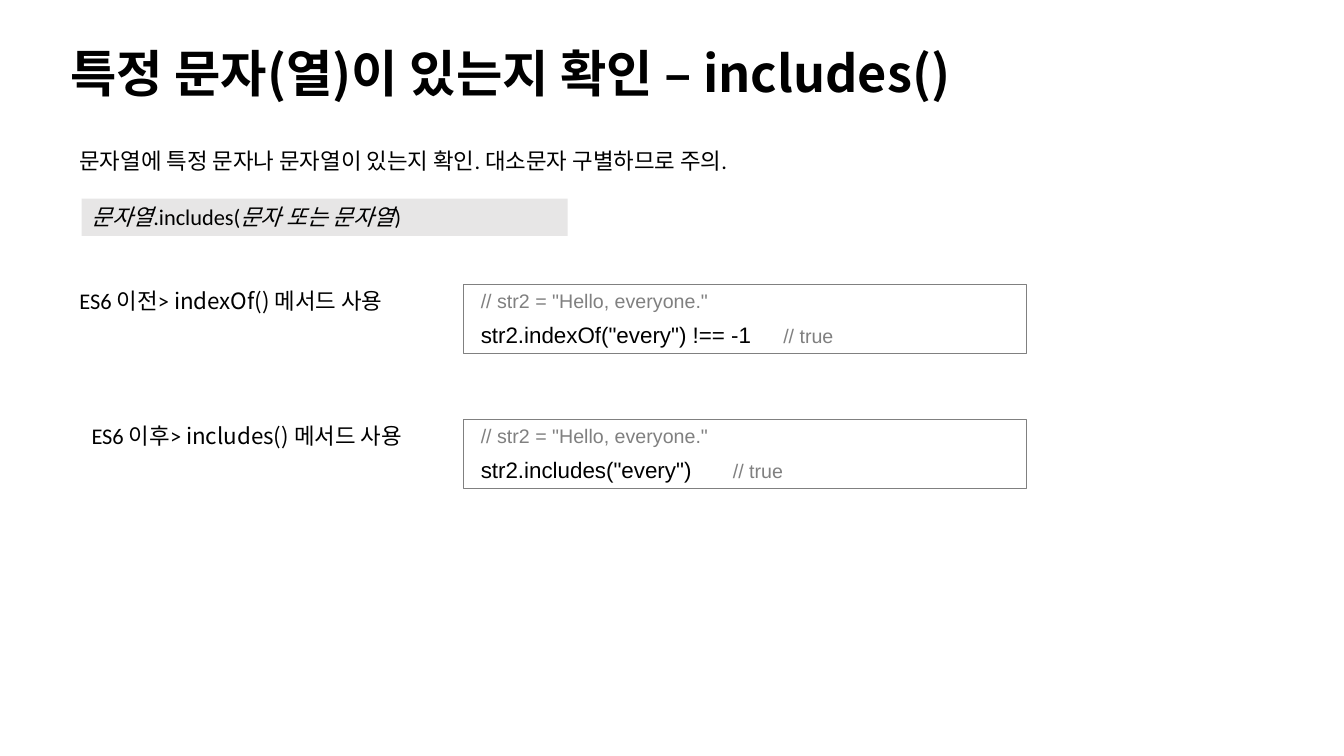
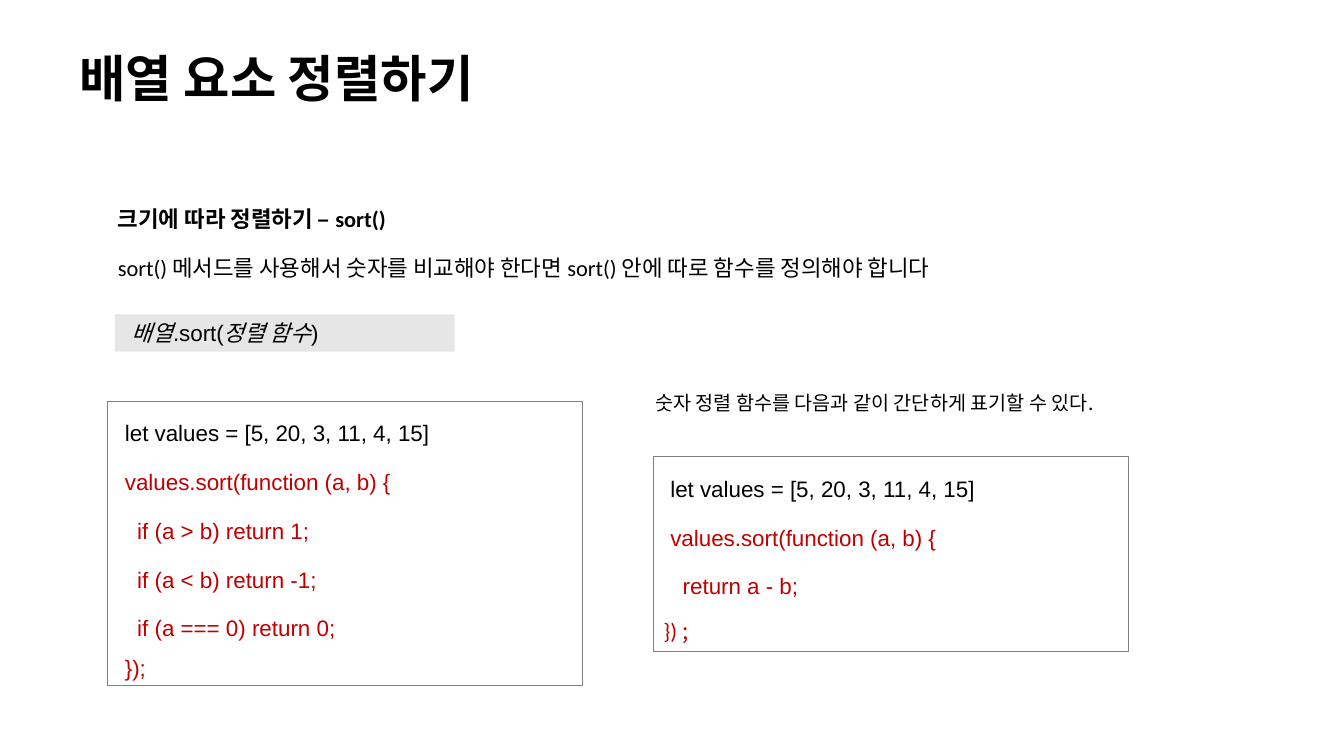
from dataclasses import dataclass

from lxml import etree
from pptx import Presentation
from pptx.dml.color import RGBColor
from pptx.enum.shapes import MSO_SHAPE
from pptx.enum.text import MSO_ANCHOR, MSO_AUTO_SIZE, PP_ALIGN
from pptx.oxml.ns import qn
from pptx.util import Inches, Pt

RECTANGLE = MSO_SHAPE.RECTANGLE
TOP, MIDDLE = MSO_ANCHOR.TOP, MSO_ANCHOR.MIDDLE
GROW, FIXED = MSO_AUTO_SIZE.SHAPE_TO_FIT_TEXT, MSO_AUTO_SIZE.NONE
LEFT, JUSTIFY = PP_ALIGN.LEFT, PP_ALIGN.JUSTIFY


@dataclass(frozen=True)
class Theme:
    """Colours, fonts and type sizes shared by the slides."""

    ink: str = "000000"
    muted: str = "808080"
    accent: str = "C00000"
    band: str = "E7E6E6"
    body: str = "Calibri"
    code: str = "Arial"
    korean: str = "Noto Sans CJK KR"
    title_size: int = 36
    text_size: int = 16
    small_size: int = 14


THEME = Theme()


@dataclass(frozen=True)
class Span:
    """A piece of text with its own look."""

    text: str
    font: str = THEME.body
    size: int = THEME.text_size
    color: str = THEME.ink
    bold: bool = False
    italic: bool = False


@dataclass(frozen=True)
class Line:
    """A paragraph of spans with its spacing, indent and tab stop."""

    spans: tuple
    spacing: float = 1.0
    gap: int = 0
    indent: float = 0
    tab: float = 0
    align: PP_ALIGN = LEFT


def add_span(para, span):
    """Add one run to a paragraph."""
    run = para.add_run()
    run.text = span.text
    font = run.font
    font.name, font.size = span.font, Pt(span.size)
    font.bold, font.italic = span.bold, span.italic
    font.color.rgb = RGBColor.from_string(span.color)
    east_asian = etree.SubElement(run._r.get_or_add_rPr(), qn("a:ea"))
    east_asian.set("typeface", THEME.korean)


def format_line(para, line, is_first):
    """Set the paragraph format of a line."""
    properties = para._p.get_or_add_pPr()
    properties.set("marL", str(Inches(line.indent)))
    properties.set("indent", "0")
    if line.tab:
        stops = etree.SubElement(properties, qn("a:tabLst"))
        etree.SubElement(stops, qn("a:tab"), pos=str(Inches(line.tab)), algn="l")
    para.alignment = line.align
    para.line_spacing = line.spacing
    para.space_before = Pt(0 if is_first else line.gap)
    para.space_after = Pt(line.gap)


def fill_text(box, lines, anchor=TOP, auto_size=GROW):
    """Write lines into a shape or text box."""
    frame = box.text_frame
    frame.word_wrap = True
    frame.auto_size = auto_size
    frame.vertical_anchor = anchor
    for index, line in enumerate(lines):
        para = frame.paragraphs[0] if index == 0 else frame.add_paragraph()
        format_line(para, line, index == 0)
        for span in line.spans:
            if span.text == "\n":
                para.add_line_break()
            else:
                add_span(para, span)


def add_text(page, place, *spans, **layout):
    """Add a one-paragraph text box."""
    box = page.shapes.add_textbox(*map(Inches, place))
    fill_text(box, [Line(spans, **layout)])


def add_title(page, place, text, spacing=1.0):
    """Add the bold slide title."""
    box = page.shapes.add_textbox(*map(Inches, place))
    span = Span(text, THEME.korean, THEME.title_size, bold=True)
    fill_text(box, [Line((span,), spacing)], MIDDLE, FIXED)


def add_panel(page, place, lines, fill=None, outline=None):
    """Add a rectangle holding lines of text."""
    panel = page.shapes.add_shape(RECTANGLE, *map(Inches, place))
    panel.shadow.inherit = False
    if fill:
        panel.fill.solid()
        panel.fill.fore_color.rgb = RGBColor.from_string(fill)
    else:
        panel.fill.background()
    if outline:
        panel.line.color.rgb = RGBColor.from_string(outline)
        panel.line.width = Pt(0.75)
    else:
        panel.line.fill.background()
    fill_text(panel, lines)


def add_syntax(page, place, owner, method, argument, font, indent=0):
    """Add a grey band with a method's syntax."""
    spans = (
        Span(owner, font, italic=True),
        Span(f".{method}(", font),
        Span(argument, font, italic=True),
        Span(")", font),
    )
    add_panel(page, place, [Line(spans, indent=indent)], fill=THEME.band)


def code_line(*spans, spacing=1.0, tab=0):
    """Return an indented line of code."""
    return Line(spans, spacing, gap=3, indent=0.07, tab=tab)


def add_comparison(page, top, label_left, era, method, call, tab):
    """Add a label and its code sample side by side."""
    add_text(page, (label_left, top, 3.8, 0.37),
             Span(f"{era}> "), Span(f"{method}() ", THEME.korean), Span("메서드 사용"))
    comment = {"font": THEME.code, "size": THEME.small_size, "color": THEME.muted}
    add_panel(page, (4.6, top + 0.02, 5.58, 0.69), [
        code_line(Span('// str2 = "Hello, everyone."', **comment)),
        code_line(Span(f"{call}\t", THEME.code), Span("// true", **comment), tab=tab),
    ], outline=THEME.muted)


def sort_lines(*statements):
    """Return the sort call's opening lines and the given statements."""
    calls = ("values.sort(function (a, b) {", *statements)
    first = code_line(Span("let values = [5, 20, 3, 11, 4, 15]", THEME.code), spacing=1.5)
    return [first] + [
        code_line(Span(call, THEME.code, color=THEME.accent), spacing=1.5) for call in calls
    ]


def build_includes(page):
    """Build the slide on includes()."""
    add_title(page, (0.6, 0.28, 12.14, 0.87), "특정 문자(열)이 있는지 확인 – includes()")
    add_text(page, (0.69, 1.28, 10.87, 0.46),
             Span("문자열에 특정 문자나 문자열이 있는지 확인. 대소문자 구별하므로 주의."),
             spacing=1.5)
    add_syntax(page, (0.81, 1.97, 4.82, 0.37),
               "문자열", "includes", "문자 또는 문자열", THEME.body)
    add_comparison(page, 2.8, 0.69, "ES6 이전", "indexOf",
                   'str2.indexOf("every") !== -1', 2.93)
    add_comparison(page, 4.14, 0.81, "ES6 이후", "includes",
                   'str2.includes("every")', 2.34)


def build_sort(page):
    """Build the slide on sort()."""
    add_title(page, (0.69, 0.35, 9.74, 0.92), "배열 요소 정렬하기", 0.9)
    add_text(page, (1.07, 1.85, 6.29, 0.46),
             Span("크기에 따라 정렬하기 – sort()", bold=True), spacing=1.5)
    add_text(page, (1.07, 2.47, 10.87, 0.37),
             Span("sort() 메서드를 사용해서 숫자를 비교해야 한다면 "
                  "sort() 안에 따로 함수를 정의해야 합니다"),
             align=JUSTIFY)
    add_syntax(page, (1.14, 3.12, 3.37, 0.37),
               "배열", "sort", "정렬 함수", THEME.code, 0.07)

    accent = {"color": THEME.accent}
    full = sort_lines("  if (a > b) return 1;", "  if (a < b) return -1;")
    full.append(code_line(
        Span("  if (a === 0) return 0;", THEME.code, **accent),
        Span("\n"),
        Span("});", THEME.code, **accent),
        spacing=1.5,
    ))
    add_panel(page, (1.07, 3.98, 4.71, 2.82), full, outline=THEME.muted)

    add_text(page, (6.4, 3.83, 5.53, 0.34),
             Span("숫자 정렬 함수를 다음과 같이 간단하게 표기할 수 있다.",
                  THEME.korean, THEME.small_size))
    closing = (Span("}) ", **accent), Span(";", THEME.korean, **accent))
    short = sort_lines("  return a - b;") + [Line(closing, 1.5)]
    add_panel(page, (6.48, 4.53, 4.71, 1.93), short, outline=THEME.muted)


def main():
    """Build and save the deck."""
    deck = Presentation()
    deck.slide_width, deck.slide_height = Inches(13.33), Inches(7.5)
    for build in (build_includes, build_sort):
        build(deck.slides.add_slide(deck.slide_layouts[6]))
    deck.save("out.pptx")


if __name__ == "__main__":
    main()
